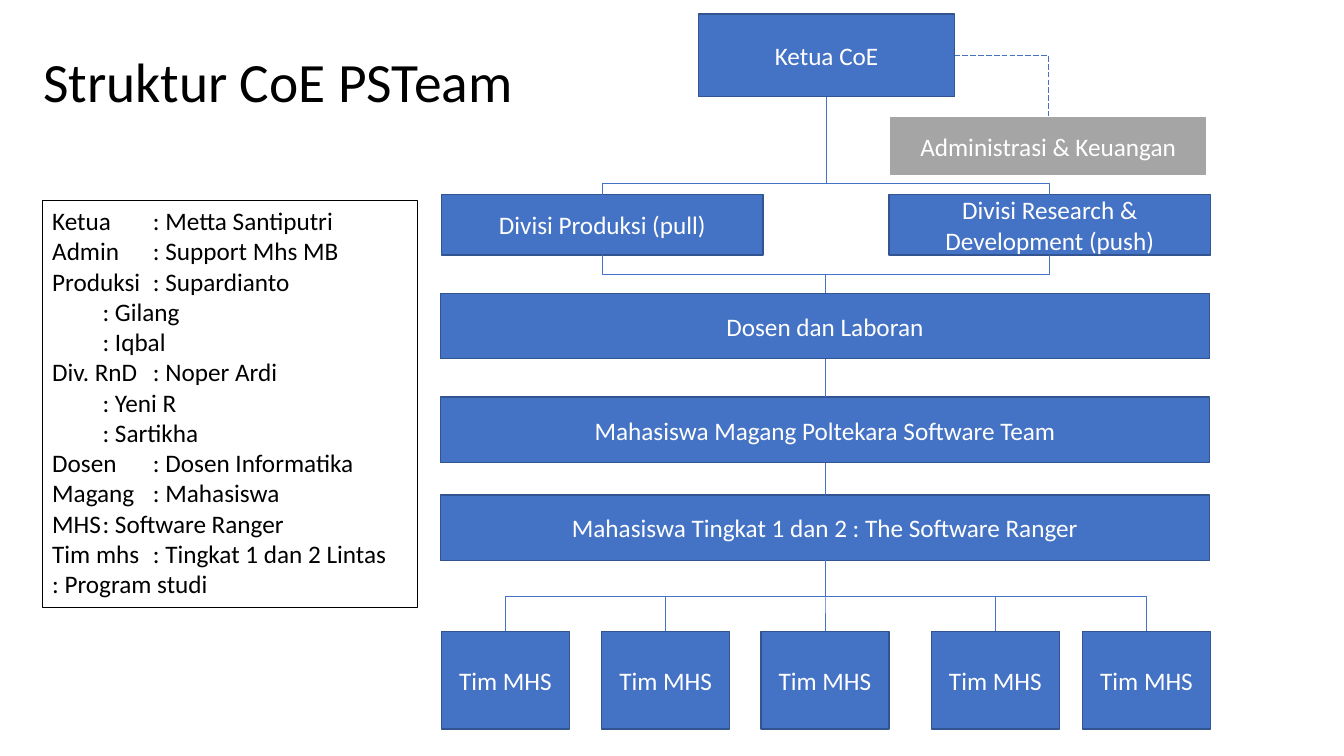
from dataclasses import dataclass
from lxml import etree
from pptx import Presentation
from pptx.dml.color import RGBColor
from pptx.enum import dml, shapes, text
from pptx.oxml import ns
from pptx.util import Pt


@dataclass(frozen=True)
class Theme:
    font: str = "Calibri"
    blue: str = "4472C4"
    edge: str = "325491"
    grey: str = "A5A5A5"
    white: str = "FFFFFF"
    black: str = "000000"
    title_size: float = 39.6
    body_size: float = 18
    box_line: float = 1
    admin_line: float = 1.5
    members_line: float = 0.75
    link_line: float = 0.5


theme = Theme()

TITLE = "Struktur CoE PSTeam"
HEAD = "Ketua CoE"
ADMIN = "Administrasi & Keuangan"
DIVISIONS = [
    ("Divisi Produksi (pull)", 315.4),
    ("Divisi Research & Development (push)", 635),
]
LEVELS = [
    ("Dosen dan Laboran", 209.5),
    ("Mahasiswa Magang Poltekara Software Team", 283.7),
    ("Mahasiswa Tingkat 1 dan 2 : The Software Ranger", 353.5),
]
TEAM = "Tim MHS"
TEAM_LEFTS = [315.4, 429.8, 543.6, 665.3, 773.3]
MEMBERS = [
    ("Ketua", "Metta Santiputri"),
    ("Admin", "Support Mhs MB"),
    ("Produksi ", "Supardianto"),
    ("", "Gilang"),
    ("", "Iqbal"),
    ("Div. RnD", "Noper Ardi"),
    ("", "Yeni R"),
    ("", "Sartikha"),
    ("Dosen", "Dosen Informatika"),
    ("Magang", "Mahasiswa"),
    ("MHS", "Software Ranger"),
    ("Tim mhs", "Tingkat 1 dan 2 Lintas \t: Program studi"),
]

TOP, BOTTOM, RIGHT = 0, 2, 3

deck = Presentation()
deck.slide_width, deck.slide_height = Pt(960), Pt(540)
slide = deck.slides.add_slide(deck.slide_layouts[6])


def color(value):
    return RGBColor.from_string(value)


def write(frame, lines, size, ink, align, anchor):
    frame.word_wrap = True
    frame.vertical_anchor = anchor
    frame.text = "\n".join(lines)
    for paragraph in frame.paragraphs:
        paragraph.alignment = align
        paragraph.font.name = theme.font
        paragraph.font.size = Pt(size)
        paragraph.font.color.rgb = color(ink)


def rectangle(place, fill, edge, weight):
    box = slide.shapes.add_shape(shapes.MSO_SHAPE.RECTANGLE, *map(Pt, place))
    box.shadow.inherit = False
    if fill:
        box.fill.solid()
        box.fill.fore_color.rgb = color(fill)
    else:
        box.fill.background()
    box.line.color.rgb = color(edge)
    box.line.width = Pt(weight)
    return box


def unit(label, place, fill=theme.blue, edge=theme.edge, weight=theme.box_line):
    box = rectangle(place, fill, edge, weight)
    write(box.text_frame, [label], theme.body_size, theme.white,
          text.PP_ALIGN.CENTER, text.MSO_ANCHOR.MIDDLE)
    return box


def link(kind, start, start_site, end, end_site):
    line = slide.shapes.add_connector(kind, 0, 0, 0, 0)
    line.begin_connect(start, start_site)
    line.end_connect(end, end_site)
    line.line.color.rgb = color(theme.blue)
    line.line.width = Pt(theme.link_line)
    etree.SubElement(line._element.spPr, ns.qn("a:effectLst"))
    return line


def branch(parent, child, bend=0.5):
    line = link(shapes.MSO_CONNECTOR.ELBOW, parent, BOTTOM, child, TOP)
    x1, y1 = parent.left + parent.width // 2, parent.top + parent.height
    x2, y2 = child.left + child.width // 2, child.top
    drop, reach = y2 - y1, abs(x2 - x1)
    line.left, line.top = (x1 + x2 - drop) // 2, (y1 + y2 - reach) // 2
    line.width, line.height = drop, reach
    properties = line._element.spPr
    frame = properties.find(ns.qn("a:xfrm"))
    for flip in ("flipH", "flipV"):
        frame.attrib.pop(flip, None)
    frame.set("rot", str((270 if x2 > x1 else 90) * 60000))
    if x2 > x1:
        frame.set("flipH", "1")
    guides = properties.find(ns.qn("a:prstGeom")).find(ns.qn("a:avLst"))
    etree.SubElement(guides, ns.qn("a:gd"), name="adj1", fmla=f"val {round(bend * 100000)}")


title = slide.shapes.add_textbox(*map(Pt, (23.8, 19.4, 361.4, 81.4)))
write(title.text_frame, [TITLE], theme.title_size, theme.black,
      text.PP_ALIGN.LEFT, text.MSO_ANCHOR.MIDDLE)
title.text_frame.paragraphs[0].line_spacing = 0.9

head = unit(HEAD, (499, 10, 182.9, 59))
divisions = [unit(name, (left, 139, 229.7, 43.2)) for name, left in DIVISIONS]
levels = [unit(name, (314.6, top, 549.4, 46.8)) for name, top in LEVELS]
teams = [unit(TEAM, (left, 451, 91.4, 69.8)) for left in TEAM_LEFTS]
admin = unit(ADMIN, (635, 82.8, 227.5, 43.2), theme.grey, theme.white, theme.admin_line)

for division in divisions:
    branch(head, division, 0.89)
    branch(division, levels[0])
for upper, lower in zip(levels, levels[1:]):
    link(shapes.MSO_CONNECTOR.STRAIGHT, upper, BOTTOM, lower, TOP)
for team in teams:
    branch(levels[-1], team)

admin_link = link(shapes.MSO_CONNECTOR.ELBOW, head, RIGHT, admin, TOP)
admin_link.line.dash_style = dml.MSO_LINE.LONG_DASH
admin_link._element.spPr.find(ns.qn("a:prstGeom")).set("prst", "bentConnector2")

members = rectangle((30.2, 143.3, 267.8, 290.9), None, theme.black, theme.members_line)
write(members.text_frame, [f"{role}\t: {name}" for role, name in MEMBERS],
      theme.body_size, theme.black, text.PP_ALIGN.LEFT, text.MSO_ANCHOR.TOP)

deck.save("out.pptx")
